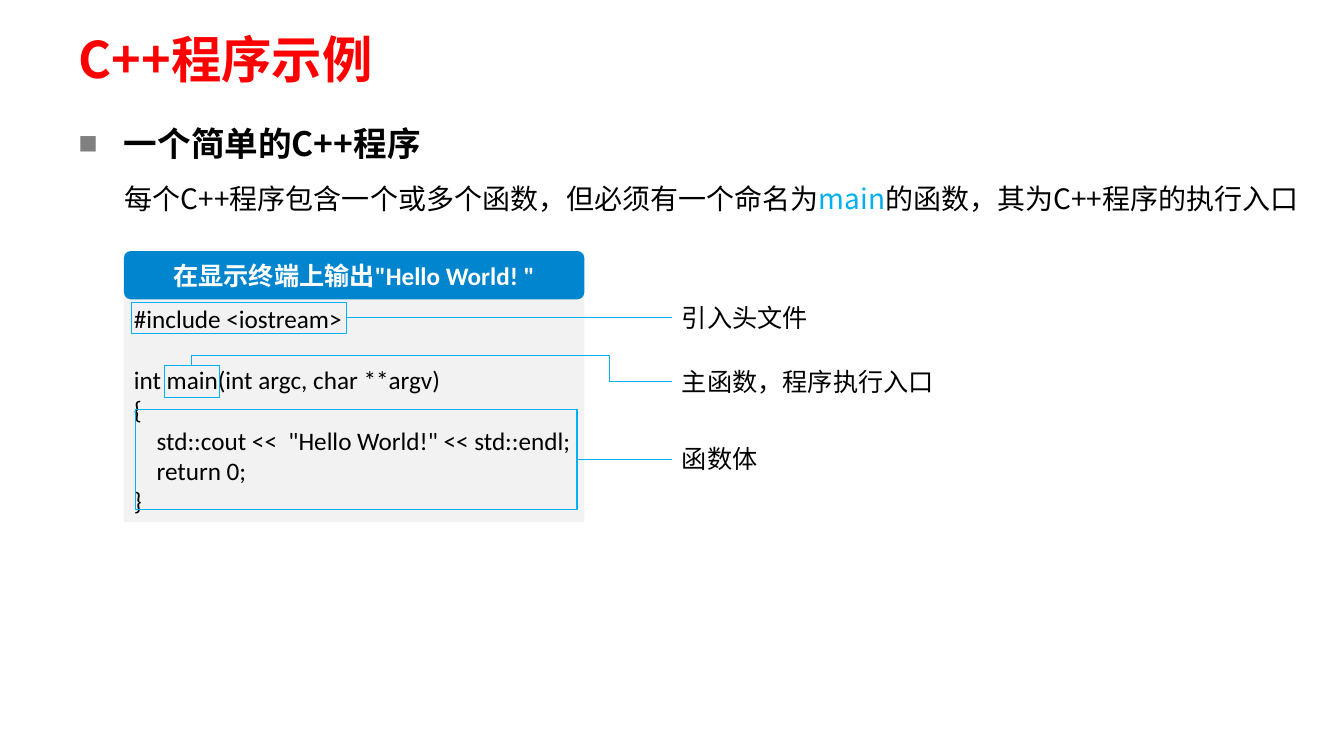
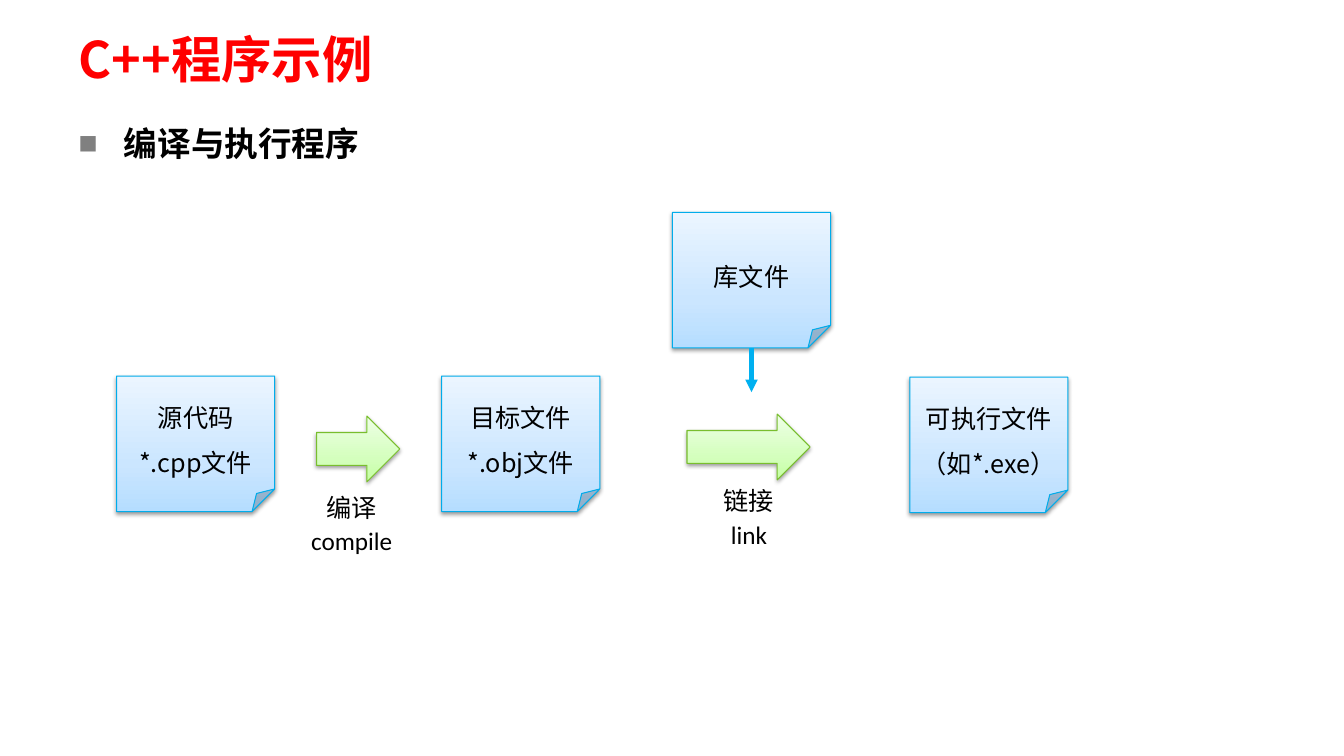
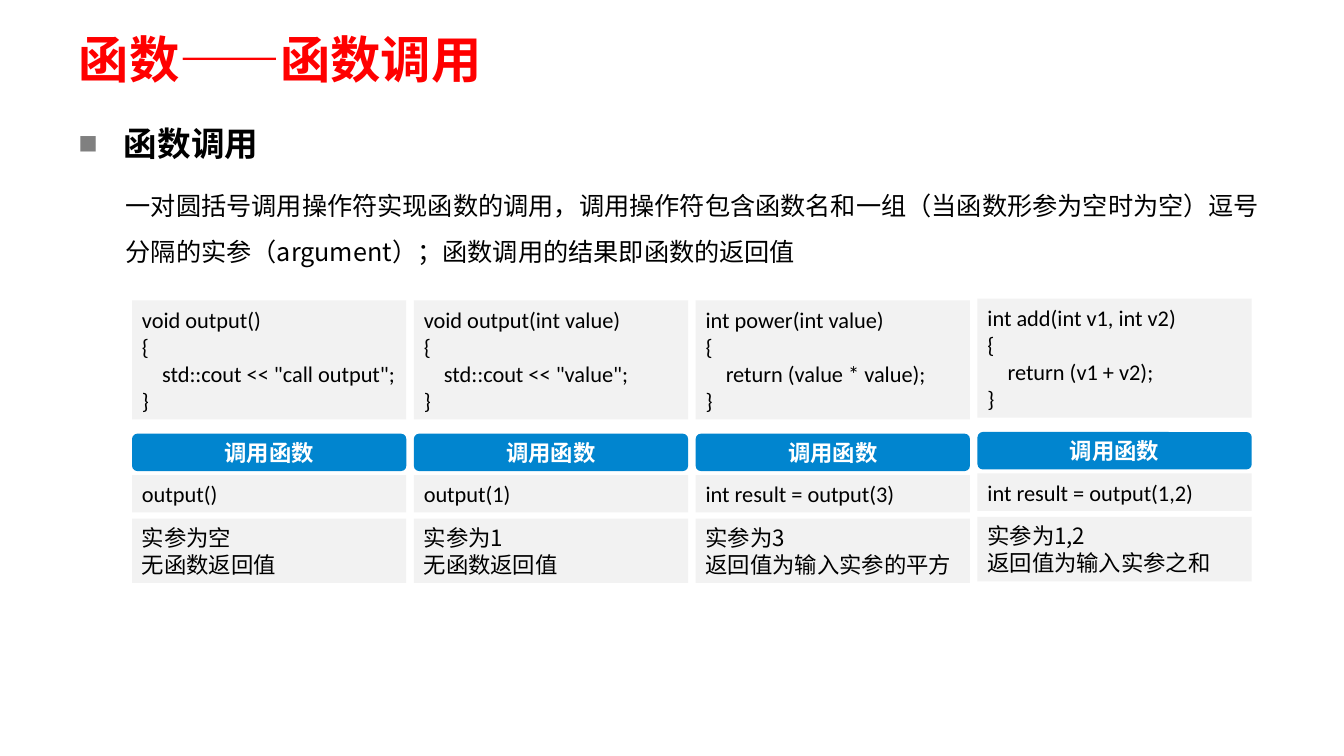
from copy import deepcopy

from lxml import etree
from pptx import Presentation
from pptx.dml.color import RGBColor
from pptx.enum import shapes as es, text as et
from pptx.oxml import ns
from pptx.util import Pt

RED = RGBColor(0xFF, 0x00, 0x00)
BLACK = RGBColor(0x00, 0x00, 0x00)
WHITE = RGBColor(0xFF, 0xFF, 0xFF)
GREY = RGBColor(0xF2, 0xF2, 0xF2)
BLUE = RGBColor(0x01, 0x85, 0xCF)
CYAN = RGBColor(0x00, 0xB0, 0xF0)
EDGE = RGBColor(0x00, 0xAC, 0xEB)
LEAF = RGBColor(0x79, 0xBE, 0x2E)
SKY = (RGBColor(0xB5, 0xDD, 0xFF), RGBColor(0xCB, 0xE6, 0xFF), RGBColor(0xEB, 0xF5, 0xFF))
LIME = (RGBColor(0xC4, 0xFF, 0xA2), RGBColor(0xD4, 0xFF, 0xBD), RGBColor(0xEE, 0xFF, 0xE6))

HAN = "Noto Sans CJK SC"
CODE = "Calibri"
KIND = es.MSO_SHAPE
LEFT, MID = et.PP_ALIGN.LEFT, et.PP_ALIGN.CENTER
TOP, HALF = et.MSO_ANCHOR.TOP, et.MSO_ANCHOR.MIDDLE


def sub(node, tag, **attrs):
    child = etree.SubElement(node, ns.qn(tag))
    for key, val in attrs.items():
        child.set(key, str(val))
    return child


def add_run(para, words, size, font, color, bold):
    run = para.add_run()
    run.text = words
    run.font.size = Pt(size)
    run.font.bold = bold
    run.font.color.rgb = color
    run.font.name = font
    sub(run.font._element, "a:ea", typeface=font)


def write(shape, paras, size=18, font=HAN, color=BLACK, bold=False,
          align=LEFT, anchor=TOP, lead=None):
    frame = shape.text_frame
    frame.word_wrap = True
    frame.vertical_anchor = anchor
    for i, runs in enumerate(paras):
        para = frame.add_paragraph() if i else frame.paragraphs[0]
        para.alignment = align
        if lead:
            para.line_spacing = lead
        for part in [runs] if isinstance(runs, str) else runs:
            words, look = (part, {}) if isinstance(part, str) else part
            add_run(para, words, size, look.get("font", font),
                    look.get("color", color), bold)
    return frame


def label(slide, x, y, w, h, paras, **look):
    return write(slide.shapes.add_textbox(Pt(x), Pt(y), Pt(w), Pt(h)), paras, **look)


def box(slide, kind, x, y, w, h, fill=None, line=None):
    shape = slide.shapes.add_shape(kind, Pt(x), Pt(y), Pt(w), Pt(h))
    shape.shadow.inherit = False
    if fill is None:
        shape.fill.background()
    else:
        shape.fill.solid()
        shape.fill.fore_color.rgb = fill
    if line is None:
        shape.line.fill.background()
    else:
        shape.line.color.rgb = line
        shape.line.width = Pt(0.75)
    return shape


def panel(slide, x, y, w, h, paras, **look):
    return write(box(slide, KIND.RECTANGLE, x, y, w, h, GREY), paras, **look)


def header(slide, x, y, w, h, runs, size):
    bar = box(slide, KIND.ROUNDED_RECTANGLE, x, y, w, h, BLUE)
    bar.adjustments[0] = 0.14
    write(bar, [runs], size, color=WHITE, bold=True, align=MID, anchor=HALF)


def glossy(slide, kind, x, y, w, h, tones, line):
    shape = box(slide, kind, x, y, w, h, line=line)
    shape.fill.gradient()
    shape.fill.gradient_angle = 90
    stops = shape.element.spPr.xpath(".//a:gsLst")[0]
    stops.append(deepcopy(stops[-1]))
    for stop, place, tone in zip(shape.fill.gradient_stops, (0, 0.35, 1), tones):
        stop.position = place
        stop.color.rgb = tone
    glow = shape.element.spPr.find(ns.qn("a:effectLst"))
    cast = sub(glow, "a:outerShdw", blurRad=Pt(3.1), dist=Pt(1.6), dir=5400000, rotWithShape=0)
    sub(sub(cast, "a:srgbClr", val="000000"), "a:alpha", val=38000)
    return shape


def note(slide, x, y, paras):
    sheet = glossy(slide, KIND.FOLDED_CORNER, x, y, 113, 96.8, SKY, EDGE)
    write(sheet, paras, align=MID, anchor=HALF, lead=1.5)


def wire(slide, x1, y1, x2, y2, width=0.75, kind=es.MSO_CONNECTOR.STRAIGHT):
    link = slide.shapes.add_connector(kind, Pt(x1), Pt(y1), Pt(x2), Pt(y2))
    link.line.color.rgb = CYAN
    link.line.width = Pt(width)
    sub(link.element.spPr, "a:effectLst")
    return link


def elbow(slide, x1, y1, x2, y2, bends):
    midx, midy = (x1 + x2) / 2, (y1 + y2) / 2
    dx, dy = (x2 - x1) / 2, (y2 - y1) / 2
    link = wire(slide, midx + dy, midy - dx, midx - dy, midy + dx,
                kind=es.MSO_CONNECTOR.ELBOW)
    props = link.element.spPr
    props.find(ns.qn("a:xfrm")).set("rot", "16200000")
    geom = props.find(ns.qn("a:prstGeom"))
    geom.set("prst", "bentConnector4")
    for old in list(geom):
        geom.remove(old)
    guides = sub(geom, "a:avLst")
    for i, bend in enumerate(bends, 1):
        sub(guides, "a:gd", name=f"adj{i}", fmla=f"val {round(bend * 100000)}")


def pad(frame):
    frame.margin_left = frame.margin_right = Pt(9.4)
    frame.margin_top = frame.margin_bottom = Pt(5)


def start(deck, title, topic):
    slide = deck.slides.add_slide(deck.slide_layouts[5])
    head = slide.shapes.title
    head.left, head.top, head.width, head.height = Pt(46.8), Pt(20.2), Pt(873.4), Pt(42.5)
    pad(write(head, [title], 36, color=RED, bold=True, anchor=HALF))
    frame = label(slide, 46.8, 71.3, 873.4, 51, [topic], size=24, bold=True)
    pad(frame)
    para = frame.paragraphs[0]
    props = para._p.get_or_add_pPr()
    props.set("marL", str(Pt(32.4)))
    props.set("indent", str(-Pt(32.4)))
    sub(sub(props, "a:buClr"), "a:srgbClr", val="808080")
    sub(props, "a:buSzPct", val=60000)
    sub(props, "a:buFont", typeface=CODE)
    sub(props, "a:buChar", char="■")
    para.line_spacing = 1.4
    return slide


def hello(deck):
    slide = start(deck, "C++程序示例", "一个简单的C++程序")
    lines = ["#include <iostream>", "int main(int argc, char **argv)", "{",
             '    std::cout <<  "Hello World!" << std::endl;', "    return 0;", "}"]
    code = panel(slide, 88.6, 213.1, 329, 159.8, lines, font=CODE)
    code.paragraphs[1].space_before = Pt(22)
    header(slide, 88.6, 179.3, 329, 34.5,
           ["在显示终端上输出", ('"Hello World! "', {"font": CODE})], 18)
    for x, y, w, h in ((94.3, 216, 153.4, 22.3), (117.4, 261.4, 39.6, 22.3),
                       (97.2, 292.3, 315.2, 72)):
        box(slide, KIND.RECTANGLE, x, y, w, h, line=CYAN)
    for y, words in ((212.4, "引入头文件"), (257.8, "主函数，程序执行入口"), (313.2, "函数体")):
        label(slide, 480.3, y, 200, 29, [words])
    wire(slide, 247.7, 227, 480.3, 227)
    elbow(slide, 137, 261.4, 480.3, 272.6, (-0.65, 0.87))
    wire(slide, 412.3, 328.4, 480.3, 328.4)
    label(slide, 82.1, 126, 877, 31.7,
          [["每个C++程序包含一个或多个函数，但必须有一个命名为",
            ("main", {"color": CYAN}), "的函数，其为C++程序的执行入口"]], size=20)


def build(deck):
    slide = start(deck, "C++程序示例", "编译与执行程序")
    for x, y, paras in ((83.3, 268.6, ["源代码", "*.cpp文件"]),
                        (315.7, 268.6, ["目标文件", "*.obj文件"]),
                        (480.6, 151.7, ["库文件"]),
                        (650.2, 269.4, ["可执行文件（如*.exe）"])):
        note(slide, x, y, paras)
    for x, y, w, mid, name, term in ((226.2, 297.2, 59.5, 251.3, "编译", "compile"),
                                     (491, 295.8, 88, 535.2, "链接", "link")):
        glossy(slide, KIND.RIGHT_ARROW, x, y, w, 47, LIME, LEAF)
        drop = y + (50.6 if term == "compile" else 47.6)
        label(slide, mid - 45, drop, 90, 29, [name], align=MID)
        label(slide, mid - 45, drop + 23.8, 90, 29, [term], font=CODE, align=MID)
    link = wire(slide, 537.1, 248.5, 537.1, 280.1, 3)
    sub(link.line._get_or_add_ln(), "a:tailEnd", type="triangle")


def calls(deck):
    slide = start(deck, "函数——函数调用", "函数调用")
    label(slide, 82.8, 121.7, 828, 72.7,
          ["一对圆括号调用操作符实现函数的调用，调用操作符包含函数名和一组"
           "（当函数形参为空时为空）逗号分隔的实参（argument）；函数调用的结果即函数的返回值"],
          lead=1.5)
    cases = (
        (214.6, "void output()", 'std::cout << "call output";', "output()",
         "实参为空", "无函数返回值"),
        (214.6, "void output(int value)", 'std::cout << "value";', "output(1)",
         "实参为1", "无函数返回值"),
        (214.6, "int power(int value)", "return (value * value);", "int result = output(3)",
         "实参为3", "返回值为输入实参的平方"),
        (213.4, "int add(int v1, int v2)", "return (v1 + v2);", "int result = output(1,2)",
         "实参为1,2", "返回值为输入实参之和"),
    )
    for i, (y, sign, body, call, arg, back) in enumerate(cases):
        x, w = 94.4 + i * 201.4, 196
        panel(slide, x, y, w, 85, [sign, "{", "    " + body, "}"],
              size=16, font=CODE, anchor=HALF)
        panel(slide, x, y + 124.8, w, 26.7, [call], size=16, font=CODE, anchor=HALF)
        header(slide, x, y + 95.2, w, 26.7, ["调用函数"], 16)
        panel(slide, x, y + 155.8, w, 46, [arg, back], size=16, anchor=HALF)


def main():
    deck = Presentation()
    deck.slide_width, deck.slide_height = Pt(960.5), Pt(540)
    hello(deck)
    build(deck)
    calls(deck)
    deck.save("out.pptx")


if __name__ == "__main__":
    main()
